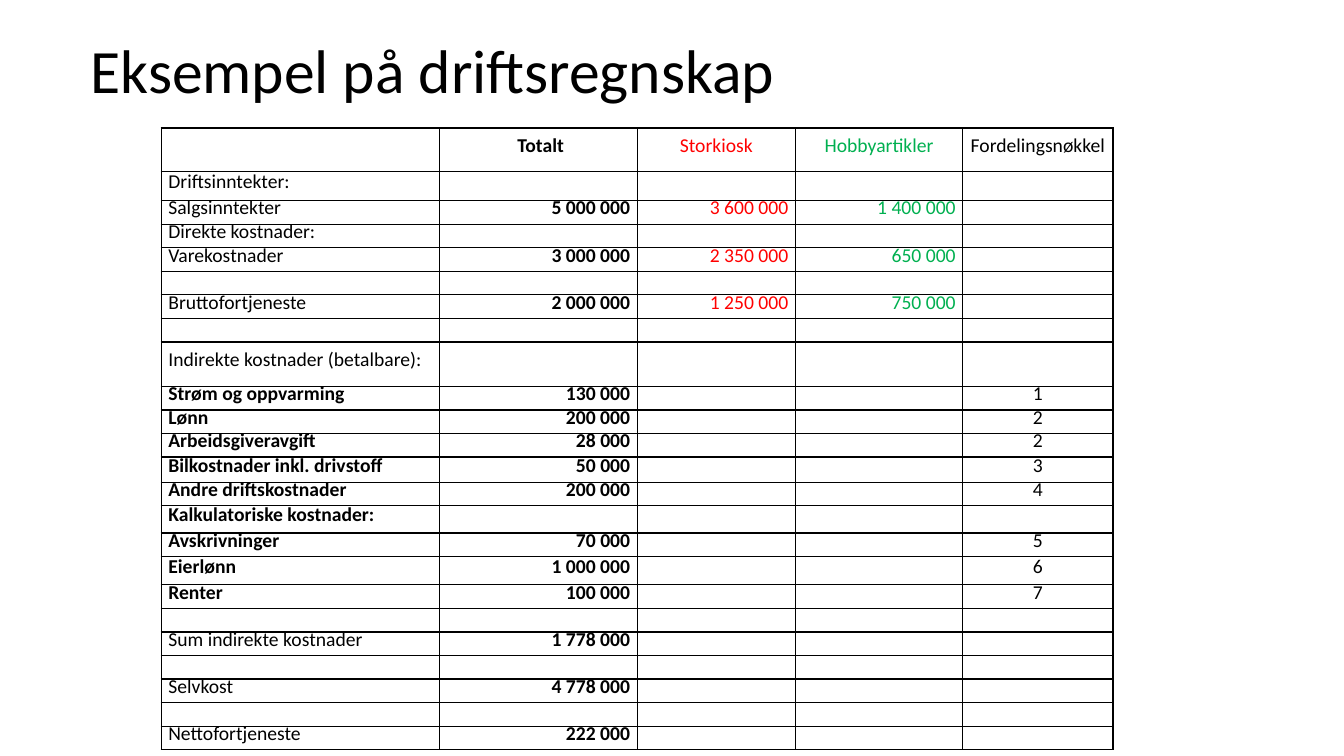
"""Build the slide with an example of a departmental operating statement."""
import dataclasses
import typing

import lxml.etree
import pptx
import pptx.dml.color
import pptx.enum.text
import pptx.oxml.ns
import pptx.table
import pptx.text.text
import pptx.util

PX = 9144
FONT = "Calibri"
BLACK = pptx.dml.color.RGBColor(0x00, 0x00, 0x00)
RED = pptx.dml.color.RGBColor(0xFF, 0x00, 0x00)
GREEN = pptx.dml.color.RGBColor(0x00, 0xB0, 0x50)
LEFT = pptx.enum.text.PP_ALIGN.LEFT
CENTER = pptx.enum.text.PP_ALIGN.CENTER
RIGHT = pptx.enum.text.PP_ALIGN.RIGHT
MIDDLE = pptx.enum.text.MSO_ANCHOR.MIDDLE


@dataclasses.dataclass(frozen=True)
class Column:
    heading: str
    width: int
    align: typing.Any
    color: pptx.dml.color.RGBColor = BLACK
    bold: bool = False


@dataclasses.dataclass(frozen=True)
class Line:
    height: int
    label: str = ""
    total: str = ""
    kiosk: str = ""
    hobby: str = ""
    key: str = ""
    bold: bool = False

    def texts(self) -> tuple[str, ...]:
        return self.label, self.total, self.kiosk, self.hobby, self.key


COLUMNS = (
    Column("", 276, LEFT),
    Column(" Totalt", 196, RIGHT, bold=True),
    Column("Storkiosk", 157, RIGHT, RED),
    Column("Hobbyartikler", 166, RIGHT, GREEN),
    Column("Fordelingsnøkkel", 149, CENTER),
)
HEADING_HEIGHT = 43
LINES = (
    Line(29, "Driftsinntekter:"),
    Line(22, "Salgsinntekter", "5 000 000", "3 600 000", "1 400 000"),
    Line(23, "Direkte kostnader:"),
    Line(22, "Varekostnader", "3 000 000", "2 350 000", "650 000"),
    Line(22),
    Line(22, "Bruttofortjeneste", "2 000 000", "1 250 000", "750 000"),
    Line(22),
    Line(44, "Indirekte kostnader (betalbare):"),
    Line(22, "Strøm og oppvarming", "130 000", key="1", bold=True),
    Line(22, "Lønn", "200 000", key="2", bold=True),
    Line(22, "Arbeidsgiveravgift", "28 000", key="2", bold=True),
    Line(25, "Bilkostnader inkl. drivstoff", "50 000", key="3", bold=True),
    Line(22, "Andre driftskostnader", "200 000", key="4", bold=True),
    Line(27, "Kalkulatoriske kostnader:", bold=True),
    Line(22, "Avskrivninger", "70 000", key="5", bold=True),
    Line(28, "Eierlønn", "1 000 000", key="6", bold=True),
    Line(22, "Renter", "100 000", key="7", bold=True),
    Line(22),
    Line(23, "Sum indirekte kostnader", "1 778 000"),
    Line(22),
    Line(23, "Selvkost", "4 778 000"),
    Line(19),
    Line(23, "Nettofortjeneste", "222 000"),
)


def px(length: int) -> pptx.util.Emu:
    return pptx.util.Emu(length * PX)


def apply(target: typing.Any, values: dict[str, typing.Any]) -> None:
    for name, value in values.items():
        setattr(target, name, value)


def write(para: pptx.text.text._Paragraph, text: str, size: int,
          color: pptx.dml.color.RGBColor = BLACK, bold: bool = False) -> None:
    span = para.add_run()
    span.text = text
    apply(span.font, {"name": FONT, "size": pptx.util.Pt(size), "bold": bold})
    span.font.color.rgb = color


def draw_borders(cell: pptx.table._Cell) -> None:
    properties = cell._tc.get_or_add_tcPr()
    qn = pptx.oxml.ns.qn
    for side in ("a:lnL", "a:lnR", "a:lnT", "a:lnB"):
        border = lxml.etree.SubElement(properties, qn(side), w=str(pptx.util.Pt(1)))
        fill = lxml.etree.SubElement(border, qn("a:solidFill"))
        lxml.etree.SubElement(fill, qn("a:srgbClr"), val=str(BLACK))


def fill_cell(cell: pptx.table._Cell, text: str, align: typing.Any,
              color: pptx.dml.color.RGBColor, bold: bool) -> None:
    draw_borders(cell)
    cell.fill.background()
    apply(cell, {"margin_left": px(7), "margin_right": px(7), "margin_top": 0,
                 "margin_bottom": 0, "vertical_anchor": MIDDLE})
    para = cell.text_frame.paragraphs[0]
    apply(para, {"alignment": align, "line_spacing": pptx.util.Pt(11)})
    if text:
        write(para, text, 14, color, bold)
    else:
        para._p.get_or_add_endParaRPr().set("sz", "1400")


def draw_title(page: typing.Any) -> None:
    box = page.shapes.add_textbox(px(80), px(0), px(1150), px(145))
    apply(box.text_frame, {"word_wrap": True, "vertical_anchor": MIDDLE})
    para = box.text_frame.paragraphs[0]
    para.line_spacing = 0.9
    write(para, "Eksempel på driftsregnskap", 44)


def draw_statement(page: typing.Any) -> None:
    heights = [HEADING_HEIGHT] + [line.height for line in LINES]
    width = sum(column.width for column in COLUMNS)
    table = page.shapes.add_table(len(heights), len(COLUMNS), px(160), px(127),
                                  px(width), px(sum(heights))).table
    apply(table, {"first_row": False, "horz_banding": False})
    for row, height in zip(table.rows, heights):
        row.height = px(height)
    for index, column in enumerate(COLUMNS):
        table.columns[index].width = px(column.width)
        fill_cell(table.cell(0, index), column.heading, CENTER, column.color, column.bold)
        for number, line in enumerate(LINES, start=1):
            bold = line.bold if index == 0 else column.bold
            fill_cell(table.cell(number, index), line.texts()[index],
                      column.align, column.color, bold)


def main() -> None:
    deck = pptx.Presentation()
    apply(deck, {"slide_width": px(1333), "slide_height": px(750)})
    page = deck.slides.add_slide(deck.slide_layouts[6])
    draw_title(page)
    draw_statement(page)
    deck.save("out.pptx")


if __name__ == "__main__":
    main()
